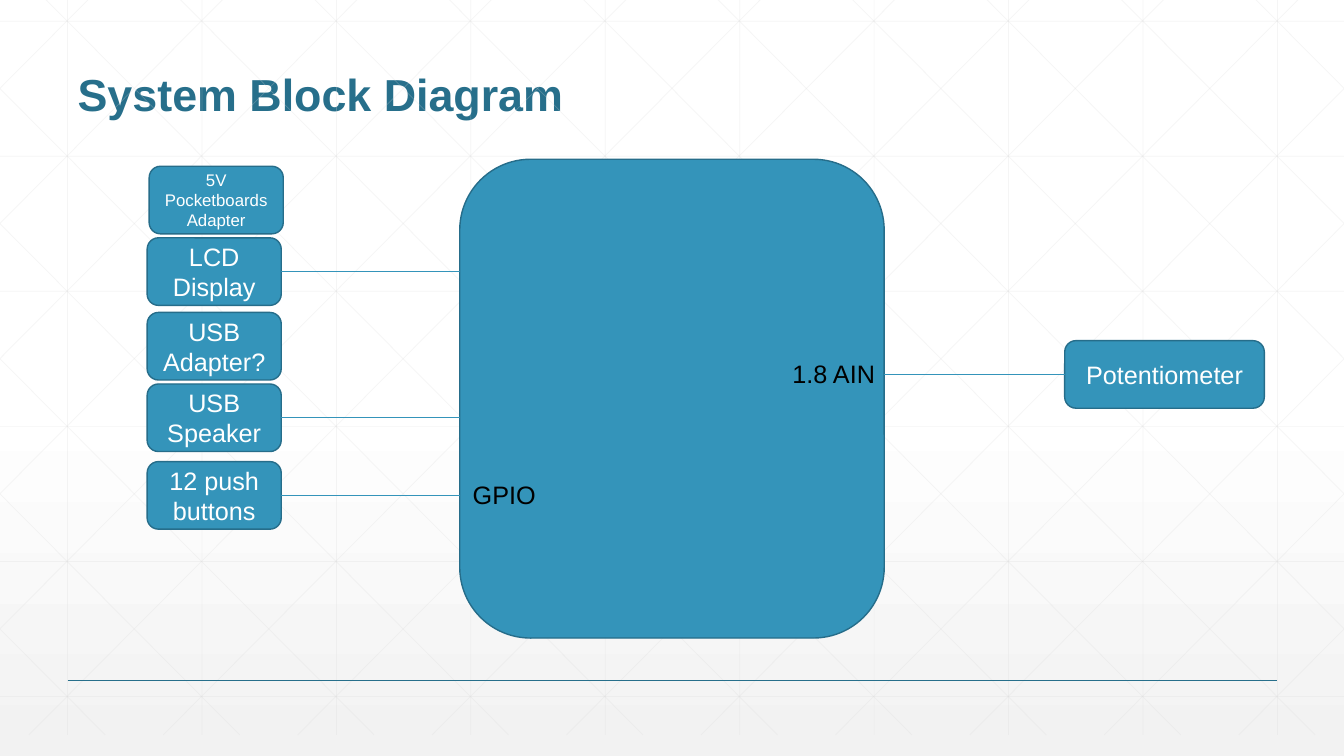
from lxml import etree
from pptx import Presentation
from pptx.dml import color
from pptx.enum import shapes, text
from pptx.oxml import ns
from pptx.util import Inches, Pt

W, H = 13.33, 7.5
TITLE = "System Block Diagram"
FONT = "Arial"
BLUE, EDGE, TITLE_BLUE, GRID = "3494BA", "266D8A", "276F8B", "D9D9D9"
BOARD = (4.56, 1.58, 4.21, 4.75)
BOX_H = 0.67
LEFT, RIGHT = 3, 1
BLOCKS = [
    ("5V Pocketboards Adapter", 1.48, 1.65, 1.33, 12, None),
    ("LCD Display", 1.46, 2.36, 1.33, 18, LEFT),
    ("USB Adapter?", 1.46, 3.1, 1.33, 18, None),
    ("USB Speaker", 1.46, 3.81, 1.33, 18, LEFT),
    ("12 push buttons", 1.46, 4.58, 1.33, 18, LEFT),
    ("Potentiometer", 10.56, 3.38, 1.98, 18, RIGHT),
]
PORTS = [("GPIO", 4.59, 4.71, 1.5), ("1.8 AIN", 7.76, 3.51, 1.18)]
STEP_X, STEP_Y = 4 / 3, 1.34
GRID_TOP, GRID_BOTTOM, DIAGONAL_RUN = -0.21, 7.29, 7.46


def rgb(value):
    return color.RGBColor.from_string(value)


def add_line(s, x1, y1, x2, y2, line_color, width, alpha=None):
    c = s.shapes.add_connector(shapes.MSO_CONNECTOR.STRAIGHT,
                               Inches(x1), Inches(y1), Inches(x2), Inches(y2))
    c.line.color.rgb = rgb(line_color)
    c.line.width = Pt(width)
    if alpha:
        clr = c._element.spPr.find(".//" + ns.qn("a:srgbClr"))
        etree.SubElement(clr, ns.qn("a:alpha")).set("val", str(alpha * 1000))
    etree.SubElement(c._element.spPr, ns.qn("a:effectLst"))
    return c


def add_box(s, x, y, w, h):
    sp = s.shapes.add_shape(shapes.MSO_SHAPE.ROUNDED_RECTANGLE,
                            Inches(x), Inches(y), Inches(w), Inches(h))
    sp.shadow.inherit = False
    sp.fill.solid()
    sp.fill.fore_color.rgb = rgb(BLUE)
    sp.line.color.rgb = rgb(EDGE)
    sp.line.width = Pt(1)
    return sp


def write(sp, words, size, font_color, align, anchor):
    tf = sp.text_frame
    tf.word_wrap = True
    tf.vertical_anchor = anchor
    p = tf.paragraphs[0]
    p.text = words
    p.alignment = align
    p.font.name = FONT
    p.font.size = Pt(size)
    p.font.color.rgb = rgb(font_color)
    return p


def add_background(s):
    fill = s.background.fill
    fill.gradient()
    fill.gradient_angle = 270
    for stop, (position, value) in zip(fill.gradient_stops, [(0.53, "FFFFFF"), (1, "F2F2F2")]):
        stop.position = position
        stop.color.rgb = rgb(value)
    lines = []
    for i in range(10):
        x = 0.67 + i * STEP_X
        lines.append((x, GRID_TOP, x, GRID_BOTTOM))
    for i in range(6):
        y = 0.21 + i * STEP_Y
        lines.append((0, y, W, y))
    slope = (GRID_BOTTOM - GRID_TOP) / DIAGONAL_RUN
    for i in range(-5, 10):
        start = 0.25 + i * STEP_X
        x1, x2 = max(0, start), min(W, start + DIAGONAL_RUN)
        y1, y2 = (GRID_TOP + (x - start) * slope for x in (x1, x2))
        lines += [(x1, y1, x2, y2), (W - x1, y1, W - x2, y2)]
    for line in lines:
        add_line(s, *line, GRID, 0.5, 25)
    add_line(s, 0.67, 6.75, 12.67, 6.75, TITLE_BLUE, 1)


def main():
    prs = Presentation()
    prs.slide_width, prs.slide_height = Inches(W), Inches(H)
    s = prs.slides.add_slide(prs.slide_layouts[5])
    add_background(s)

    title = s.shapes.title
    title.left, title.top, title.width, title.height = map(Inches, (0.67, 0.25, 12, 1))
    p = write(title, TITLE, 32, TITLE_BLUE, text.PP_ALIGN.LEFT, text.MSO_ANCHOR.BOTTOM)
    p.font.bold = True
    p.line_spacing = 0.9

    add_box(s, *BOARD)
    board_left, board_right = BOARD[0], BOARD[0] + BOARD[2]
    for words, x, y, w, size, side in BLOCKS:
        sp = add_box(s, x, y, w, BOX_H)
        write(sp, words, size, "FFFFFF", text.PP_ALIGN.CENTER, text.MSO_ANCHOR.MIDDLE)
        mid = y + BOX_H / 2
        if side == LEFT:
            add_line(s, x + w, mid, board_left, mid, BLUE, 0.5).begin_connect(sp, side)
        elif side == RIGHT:
            add_line(s, board_right, mid, x, mid, BLUE, 0.5).end_connect(sp, side)

    for words, x, y, w in PORTS:
        sp = s.shapes.add_textbox(Inches(x), Inches(y), Inches(w), Inches(0.4))
        write(sp, words, 18, "000000", text.PP_ALIGN.LEFT, text.MSO_ANCHOR.TOP)

    prs.save("out.pptx")


if __name__ == "__main__":
    main()
